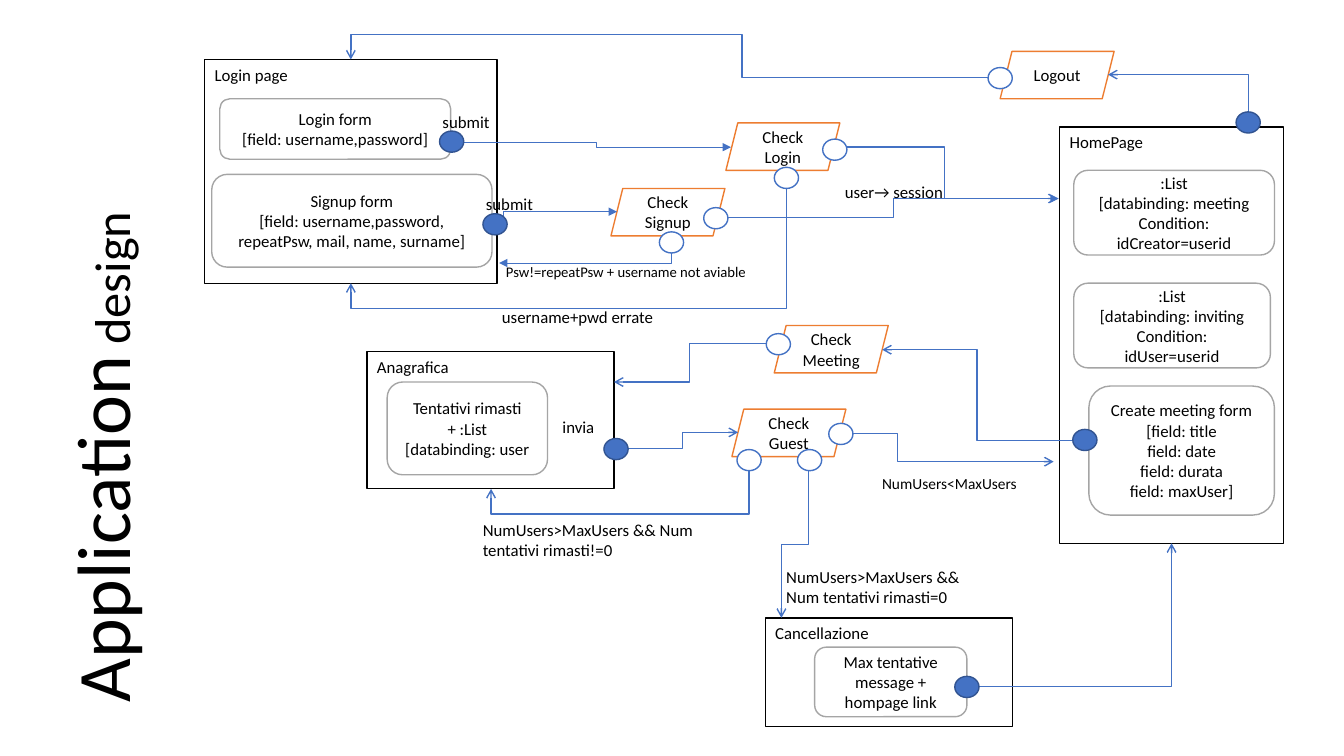
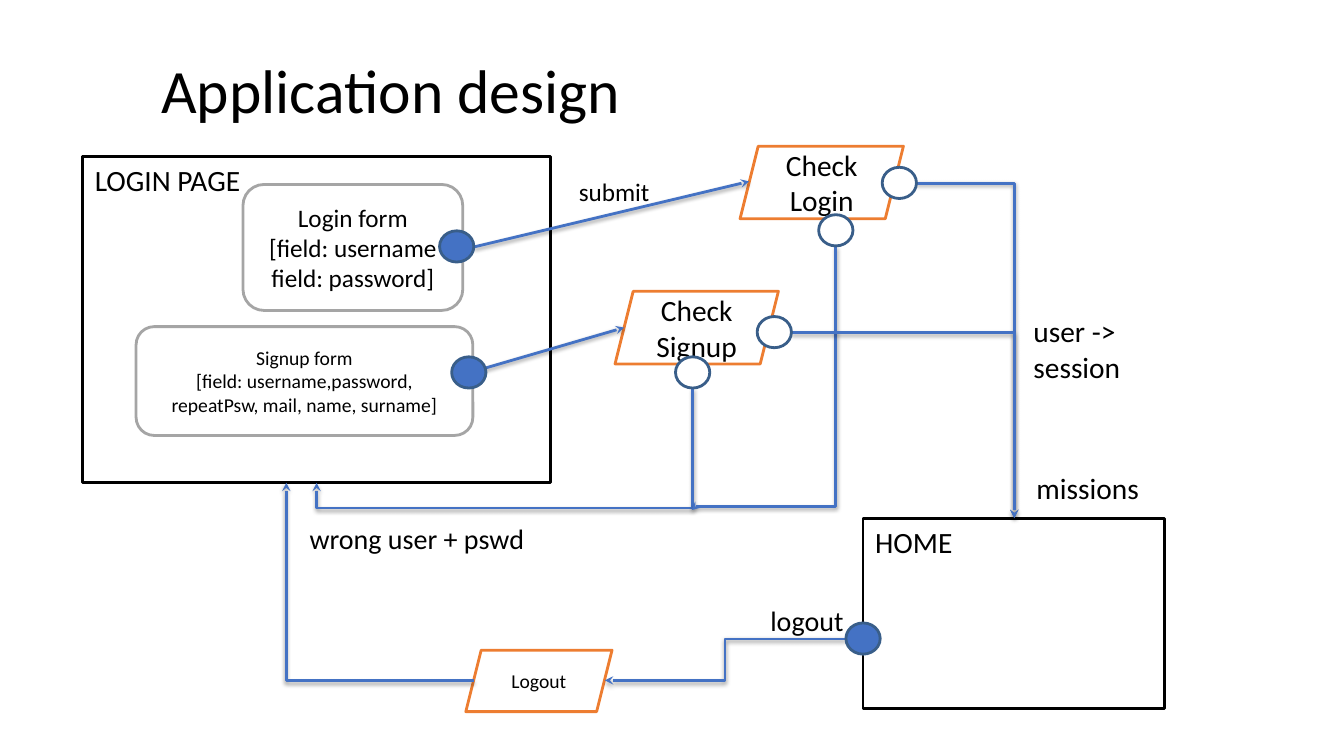
"""Build two slides that show the application design as a flow of pages, forms and actions."""
from typing import Any, NamedTuple

from lxml import etree
from pptx import Presentation
from pptx.dml.color import RGBColor
from pptx.enum.shapes import MSO_CONNECTOR, MSO_SHAPE
from pptx.enum.text import MSO_ANCHOR, PP_ALIGN
from pptx.oxml.ns import qn
from pptx.util import Inches, Pt

STRAIGHT, ELBOW = MSO_CONNECTOR.STRAIGHT, MSO_CONNECTOR.ELBOW
RECTANGLE, ROUNDED = MSO_SHAPE.RECTANGLE, MSO_SHAPE.ROUNDED_RECTANGLE
PARALLELOGRAM, OVAL = MSO_SHAPE.PARALLELOGRAM, MSO_SHAPE.OVAL
TOP, MIDDLE = MSO_ANCHOR.TOP, MSO_ANCHOR.MIDDLE
LEFT, CENTER = PP_ALIGN.LEFT, PP_ALIGN.CENTER

FONT = "Calibri"
BLACK, WHITE, GREY, BLUE, ORANGE = "000000", "FFFFFF", "A5A5A5", "4472C4", "ED7D31"


class Kind(NamedTuple):
    """Look of one family of boxes."""
    preset: Any
    outline: str
    anchor: Any
    align: Any


PAGE = Kind(RECTANGLE, BLACK, TOP, LEFT)
FORM = Kind(ROUNDED, GREY, MIDDLE, CENTER)
ACTION = Kind(PARALLELOGRAM, ORANGE, MIDDLE, CENTER)


class Style(NamedTuple):
    """Sizes and colours that hold for one whole slide."""
    line: float
    text: float
    inset: tuple[float, float]
    action: tuple[float, float]
    dot: tuple[float, float]
    event_outline: str
    result_outline: str
    arrow: str
    shadow: bool


class Box(NamedTuple):
    """Page, form or action with its text."""
    kind: Kind
    left: float
    top: float
    size: tuple[float, float] | None
    text: str
    points: float | None = None


class Label(NamedTuple):
    """Free text beside a route."""
    left: float
    top: float
    width: float
    height: float
    text: str
    points: float | None = None


class Route(NamedTuple):
    """Arrow through the given corners."""
    corners: list[tuple[float, float]]
    width: float | None = None
    arrow: str | None = None


class Diagram(NamedTuple):
    """Everything drawn on one slide below its title."""
    style: Style
    boxes: list[Box]
    routes: list[Route]
    events: list[tuple[float, float]]
    results: list[tuple[float, float]]
    labels: list[Label]


OVERVIEW = Diagram(
    Style(1, 12, (0.1, 0.05), (1.13, 0.47), (0.24, 0.21), "325491", BLUE, "arrow", False),
    [
        Box(PAGE, 2.03, 0.59, (2.9, 2.22), "Login page"),
        Box(FORM, 2.18, 0.98, (2.29, 0.6), "Login form\v[field: username,password]"),
        Box(FORM, 2.1, 1.73, (2.78, 0.92),
            "Signup form\v[field: username,password, repeatPsw, mail, name, surname]"),
        Box(PAGE, 10.51, 1.26, (2.22, 4.13), "HomePage"),
        Box(FORM, 10.65, 1.69, (1.99, 0.84),
            ":List\n[databinding: meeting\nCondition: idCreator=userid"),
        Box(FORM, 10.65, 2.81, (1.95, 0.84),
            ":List\n[databinding: inviting\nCondition: idUser=userid"),
        Box(FORM, 10.8, 3.83, (1.84, 1.28),
            "Create meeting form\v[field: title\nfield: date\nfield: durata\nfield: maxUser]"),
        Box(PAGE, 3.64, 3.49, (2.45, 1.36), "Anagrafica"),
        Box(FORM, 3.84, 3.79, (1.59, 0.92), "Tentativi rimasti + :List\n[databinding: user"),
        Box(PAGE, 7.59, 6.13, (2.45, 1.08), "Cancellazione"),
        Box(FORM, 8.08, 6.42, (1.51, 0.69), "Max tentative message + hompage link"),
        Box(ACTION, 7.2, 1.22, None, "Check\vLogin"),
        Box(ACTION, 6.06, 1.87, None, "Check\vSignup"),
        Box(ACTION, 9.92, 0.51, None, "Logout"),
        Box(ACTION, 7.68, 3.23, None, "Check\vMeeting"),
        Box(ACTION, 7.26, 4.06, None, "Check\nGuest"),
    ],
    [
        Route([(8.26, 1.46), (9.37, 1.46), (9.37, 1.97), (10.49, 1.97)]),
        Route([(7.8, 1.87), (7.8, 3.06), (3.48, 3.06), (3.48, 2.81)]),
        Route([(12.38, 1.11), (12.38, 0.74), (10.99, 0.74)]),
        Route([(9.8, 0.77), (7.36, 0.77), (7.36, 0.34), (3.48, 0.34), (3.48, 0.59)]),
        Route([(10.64, 4.37), (9.69, 4.37), (9.69, 3.47), (8.75, 3.47)]),
        Route([(7.6, 3.41), (6.84, 3.41), (6.84, 3.79), (6.09, 3.79)]),
        Route([(6.23, 4.45), (6.77, 4.45), (6.77, 4.29), (7.32, 4.29)]),
        Route([(8.46, 4.3), (8.9, 4.3), (8.9, 4.58), (10.45, 4.58)]),
        Route([(7.43, 4.67), (7.43, 5.1), (4.87, 5.1), (4.87, 4.85)]),
        Route([(8.02, 4.67), (8.02, 5.4), (7.75, 5.4), (7.75, 6.13)]),
        Route([(9.71, 6.81), (11.62, 6.81), (11.62, 5.39)]),
        Route([(4.59, 1.41), (5.92, 1.41), (5.92, 1.46), (7.25, 1.46)], 0.5, "triangle"),
        Route([(4.99, 2.29), (4.99, 2.1), (6.12, 2.1)], 0.5, "triangle"),
        Route([(7.22, 2.16), (8.86, 2.16), (8.86, 1.97), (10.5, 1.97)], 0.5, "triangle"),
        Route([(6.66, 2.51), (6.66, 2.61), (4.95, 2.61)], 0.5, "triangle"),
    ],
    [(4.36, 1.3), (4.79, 2.12), (12.26, 1.11), (10.64, 4.26), (5.99, 4.35), (9.47, 6.71)],
    [(8.16, 1.38), (7.68, 1.66), (9.8, 0.67), (7.6, 3.31), (8.22, 4.2), (7.31, 4.46),
     (7.91, 4.46), (6.98, 2.06), (6.54, 2.3)],
    [
        Label(4.29, 1.06, 0.69, 0.3, "submit"),
        Label(4.72, 1.87, 0.69, 0.3, "submit"),
        Label(4.88, 2.99, 1.87, 0.3, "username+pwd errate"),
        Label(8.28, 1.75, 1.28, 0.3, "user→ session"),
        Label(5.48, 4.09, 0.69, 0.3, "invia"),
        Label(4.69, 5.11, 2.43, 0.5, "NumUsers>MaxUsers && Num tentativi rimasti!=0"),
        Label(7.7, 5.57, 2.16, 0.5, "NumUsers>MaxUsers && Num tentativi rimasti=0"),
        Label(4.92, 2.56, 2.72, 0.28, "Psw!=repeatPsw + username not aviable", 10.5),
        Label(8.65, 4.65, 1.64, 0.29, "NumUsers<MaxUsers", 11),
    ],
)

LOGIN_FLOW = Diagram(
    Style(2, 21, (0.12, 0.06), (1.62, 0.72), (0.34, 0.31), "395E89", "395E89", "stealth", True),
    [
        Box(PAGE, 0.82, 1.55, (4.64, 3.24), "LOGIN PAGE"),
        Box(FORM, 2.41, 1.83, (2.18, 1.25), "Login form\v[field: username\nfield: password]", 18),
        Box(FORM, 1.35, 3.24, (3.34, 1.08),
            "Signup form\v[field: username,password, repeatPsw, mail, name, surname]", 14),
        Box(PAGE, 8.56, 5.14, (2.99, 1.89), "HOME"),
        Box(ACTION, 7.34, 1.45, None, "Check\vLogin"),
        Box(ACTION, 6.1, 2.89, None, "Check\vSignup"),
        Box(ACTION, 4.62, 6.45, (1.45, 0.61), "Logout", 14),
    ],
    [
        Route([(4.7, 2.45), (7.43, 1.8)]),
        Route([(4.75, 3.67), (6.19, 3.25)]),
        Route([(6.87, 3.85), (6.87, 5.04), (3.14, 5.04), (3.14, 4.79)]),
        Route([(9.09, 1.82), (10.06, 1.82), (10.06, 5.14)]),
        Route([(8.39, 6.34), (7.19, 6.34), (7.19, 6.75), (6, 6.75)]),
        Route([(4.7, 6.75), (2.84, 6.75), (2.84, 4.79)]),
        Route([(8.29, 2.44), (8.29, 5.02), (6.86, 5.02), (6.86, 5.06)]),
        Route([(7.85, 3.3), (10.06, 3.3), (10.06, 5.14)]),
    ],
    [(4.36, 2.29), (4.48, 3.54), (8.39, 6.18)],
    [(8.75, 1.66), (8.12, 2.13), (6.7, 3.54), (7.51, 3.14)],
    [
        Label(5.62, 1.69, 0.99, 0.4, "submit", 18),
        Label(2.95, 5.11, 2.95, 0.4, "wrong user + pswd", 20),
        Label(10.13, 3.05, 1.84, 0.4, "user -> session"),
        Label(10.16, 4.6, 1.84, 0.4, "missions"),
        Label(7.52, 5.93, 0.99, 0.4, "logout", 20),
    ],
)


def color(value: str) -> RGBColor:
    """Turn a hex string into a colour."""
    return RGBColor.from_string(value)


def set_values(target: Any, values: dict[str, Any]) -> None:
    """Set each named attribute on the target."""
    for name, value in values.items():
        setattr(target, name, value)


def format_font(font: Any, points: float) -> None:
    """Give a font the shared face and colour."""
    set_values(font, {"name": FONT, "size": Pt(points)})
    font.color.rgb = color(BLACK)


def format_frame(frame: Any, inset: tuple[float, float], anchor: Any) -> None:
    """Set wrapping, margins and anchor of a text frame."""
    across, down = (Inches(value) for value in inset)
    set_values(frame, {"word_wrap": True, "vertical_anchor": anchor,
                       "margin_left": across, "margin_right": across,
                       "margin_top": down, "margin_bottom": down})


def write_text(shape: Any, text: str, points: float, style: Style, anchor: Any, align: Any) -> None:
    """Fill a shape with formatted paragraphs."""
    frame = shape.text_frame
    format_frame(frame, style.inset, anchor)
    frame.text = text
    for paragraph in frame.paragraphs:
        paragraph.alignment = align
        for run in paragraph.runs:
            format_font(run.font, points)


def add_outlined(slide: Any, preset: Any, place: tuple[float, ...], fill: str,
                 outline: str, width: float) -> Any:
    """Add a filled and outlined preset shape."""
    shape = slide.shapes.add_shape(preset, *map(Inches, place))
    shape.shadow.inherit = False
    shape.fill.solid()
    shape.fill.fore_color.rgb = color(fill)
    shape.line.color.rgb = color(outline)
    shape.line.width = Pt(width)
    return shape


def bend(connector: Any, corners: list[tuple[float, float]], upright: bool) -> None:
    """Shape an elbow connector so that it passes through its corners."""
    properties = connector.element.spPr
    if upright:
        properties.find(qn("a:xfrm")).set("rot", "5400000")
    geometry = properties.find(qn("a:prstGeom"))
    geometry.set("prst", f"bentConnector{len(corners) - 1}")
    guides = geometry.find(qn("a:avLst"))
    if guides is None:
        guides = etree.SubElement(geometry, qn("a:avLst"))
    start, end = corners[0], corners[-1]
    for number, corner in enumerate(corners[1:-2], 1):
        axis = (number - 1 + upright) % 2
        share = (corner[axis] - start[axis]) / (end[axis] - start[axis])
        etree.SubElement(guides, qn("a:gd"), name=f"adj{number}" if len(corners) > 3 else "adj",
                         fmla=f"val {round(share * 100000)}")


def add_route(slide: Any, route: Route, style: Style) -> None:
    """Draw an arrow, straight or with right-angled bends."""
    corners = route.corners
    (x1, y1), (x2, y2) = corners[0], corners[-1]
    bent = len(corners) > 2
    upright = bent and corners[1][0] == x1
    if upright:
        middle_x, middle_y, half_x, half_y = (x1 + x2) / 2, (y1 + y2) / 2, (y2 - y1) / 2, (x1 - x2) / 2
        x1, y1, x2, y2 = middle_x - half_x, middle_y - half_y, middle_x + half_x, middle_y + half_y
    connector = slide.shapes.add_connector(ELBOW if bent else STRAIGHT, *map(Inches, (x1, y1, x2, y2)))
    if bent:
        bend(connector, corners, upright)
    connector.line.color.rgb = color(BLUE)
    connector.line.width = Pt(route.width or style.line)
    properties = connector.element.spPr
    etree.SubElement(properties.find(qn("a:ln")), qn("a:tailEnd"), type=route.arrow or style.arrow)
    effects = etree.SubElement(properties, qn("a:effectLst"))
    if style.shadow:
        shadow = etree.SubElement(effects, qn("a:outerShdw"), blurRad=str(Pt(3.1)),
                                  dist=str(Pt(1.6)), dir="5400000", rotWithShape="0")
        shade = etree.SubElement(shadow, qn("a:srgbClr"), val=BLACK)
        etree.SubElement(shade, qn("a:alpha"), val="38000")


def add_title(slide: Any, place: tuple[float, ...], parts: list[tuple[str, float]],
              anchor: Any, upward: bool = False) -> None:
    """Add the slide title, optionally reading upwards."""
    box = slide.shapes.add_textbox(*map(Inches, place))
    format_frame(box.text_frame, (0.12, 0.06), anchor)
    if upward:
        box.element.txBody.find(qn("a:bodyPr")).set("vert", "vert270")
    paragraph = box.text_frame.paragraphs[0]
    for text, points in parts:
        run = paragraph.add_run()
        run.text = text
        format_font(run.font, points)


def draw(slide: Any, diagram: Diagram) -> None:
    """Draw boxes, routes, dots and labels from back to front."""
    style = diagram.style
    for box in diagram.boxes:
        kind = box.kind
        place = (box.left, box.top, *(box.size or style.action))
        shape = add_outlined(slide, kind.preset, place, WHITE, kind.outline, style.line)
        write_text(shape, box.text, box.points or style.text, style, kind.anchor, kind.align)
    for route in diagram.routes:
        add_route(slide, route, style)
    for dots, fill, outline in ((diagram.events, BLUE, style.event_outline),
                                (diagram.results, WHITE, style.result_outline)):
        for dot in dots:
            add_outlined(slide, OVAL, (*dot, *style.dot), fill, outline, style.line)
    for label in diagram.labels:
        shape = slide.shapes.add_textbox(*map(Inches, label[:4]))
        write_text(shape, label.text, label.points or style.text, style, TOP, LEFT)


def main() -> None:
    """Build and save the presentation."""
    presentation = Presentation()
    set_values(presentation, {"slide_width": Inches(13.33), "slide_height": Inches(7.5)})
    overview, login_flow = (presentation.slides.add_slide(presentation.slide_layouts[6]) for _ in range(2))
    draw(overview, OVERVIEW)
    add_title(overview, (0.42, 0, 1.11, 7.03), [("Application", 54), (" design", 36)], TOP, True)
    add_title(login_flow, (1.48, 0.26, 9.75, 1.25), [("Application design", 44)], MIDDLE)
    draw(login_flow, LOGIN_FLOW)
    presentation.save("out.pptx")


if __name__ == "__main__":
    main()
